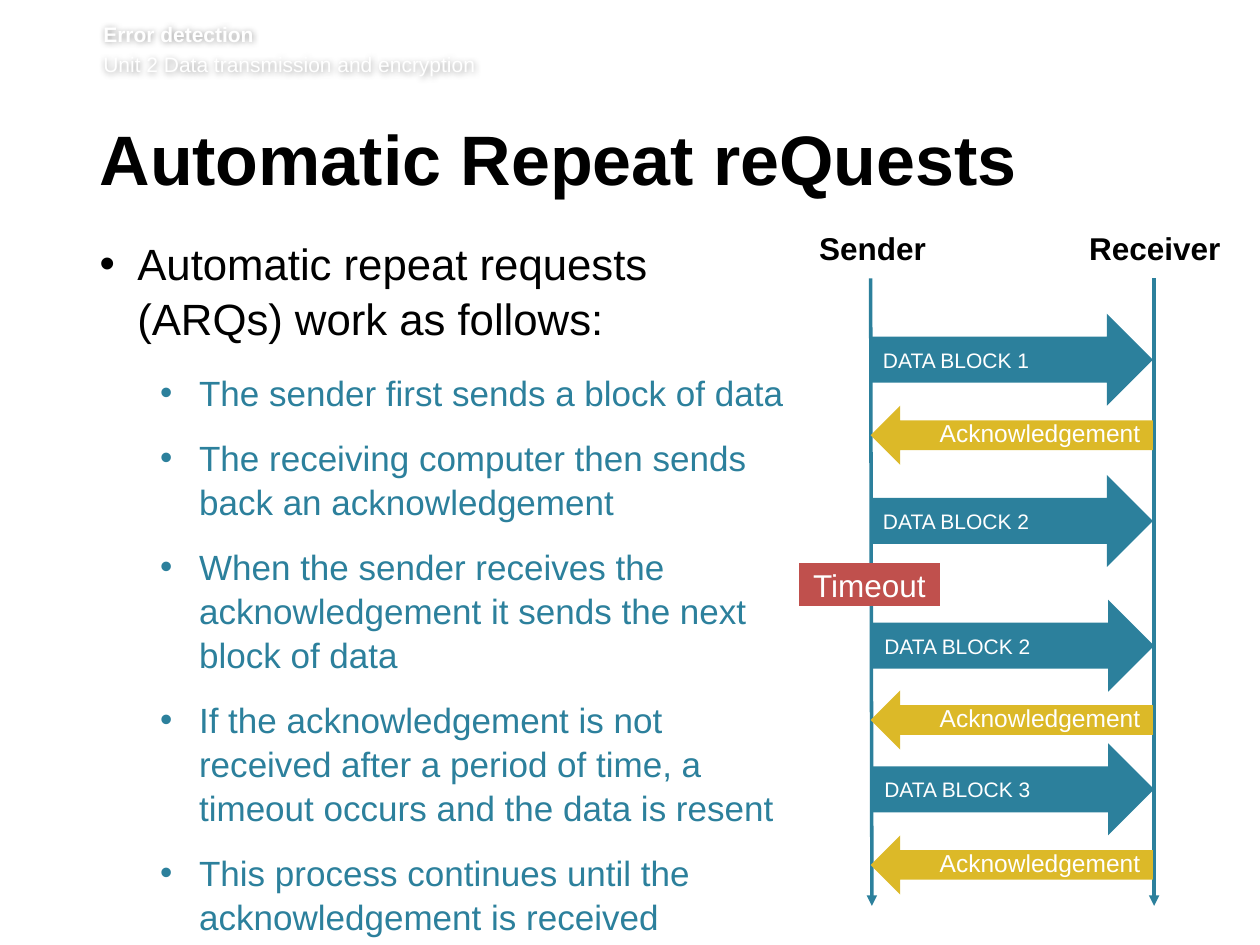
from lxml import etree
from pptx import Presentation, util as u
from pptx.dml.color import RGBColor
from pptx.enum import shapes, text
from pptx.oxml.ns import qn

Inches, Pt = u.Inches, u.Pt
THEME = {
    "font": "Arial",
    "black": RGBColor(0, 0, 0), "white": RGBColor(255, 255, 255),
    "teal": RGBColor(0x2C, 0x80, 0x9C), "gold": RGBColor(0xDC, 0xB9, 0x28),
    "red": RGBColor(0xC0, 0x50, 0x4D),
    "header": Pt(12), "title": Pt(40), "lead": Pt(25), "step": Pt(20),
    "label": Pt(18), "block": Pt(12), "reply": Pt(14),
}


def write(para, words, size, color, bold=False, **layout):
    span = para.add_run()
    span.text = words
    for name, value in {"name": THEME["font"], "size": THEME[size], "bold": bold}.items():
        setattr(span.font, name, value)
    span.font.color.rgb = THEME[color]
    for name, value in layout.items():
        setattr(para, name, value)


def set_frame(box, insets, anchor=text.MSO_ANCHOR.TOP):
    frame = box.text_frame
    sides = ("margin_left", "margin_top", "margin_right", "margin_bottom")
    values = dict(zip(sides, map(Inches, insets)))
    values.update(word_wrap=True, auto_size=text.MSO_AUTO_SIZE.NONE, vertical_anchor=anchor)
    for name, value in values.items():
        setattr(frame, name, value)
    return frame


deck = Presentation()
deck.slide_width, deck.slide_height = Inches(10), Inches(7.5)
page = deck.slides.add_slide(deck.slide_layouts[5])

header = page.shapes.add_textbox(Inches(0.82), Inches(0.17), Inches(8.82), Inches(0.49))
frame = set_frame(header, (0, 0, 0, 0.05))
write(frame.paragraphs[0], "Error detection", "header", "white", True)
write(frame.add_paragraph(), "Unit 2 Data transmission and encryption", "header", "white",
      space_before=Pt(2.9))
effects = etree.SubElement(header._element.spPr, qn("a:effectLst"))
shadow = etree.SubElement(effects, qn("a:outerShdw"), blurRad="50800", dist="0", algn="ctr")
shade = etree.SubElement(shadow, qn("a:srgbClr"), val="000000")
etree.SubElement(shade, qn("a:alpha"), val="40000")

title = page.shapes.title
for name, value in {"left": 0.79, "top": 0.99, "width": 8.55, "height": 0.73}.items():
    setattr(title, name, Inches(value))
frame = set_frame(title, (0, 0.05, 0.1, 0.05))
write(frame.paragraphs[0], "Automatic Repeat reQuests", "title", "black", True,
      alignment=text.PP_ALIGN.LEFT, line_spacing=Pt(39), space_after=Pt(15))

body = page.shapes.add_textbox(Inches(0.79), Inches(1.86), Inches(5.54), Inches(5.4))
frame = set_frame(body, (0, 0, 0.1, 0.05))
points = [
    "Automatic repeat requests (ARQs) work as follows:",
    "The sender first sends a block of data",
    "The receiving computer then sends back an acknowledgement",
    "When the sender receives the acknowledgement it sends the next block of data",
    "If the acknowledgement is not received after a period of time, a timeout occurs "
    "and the data is resent",
    "This process continues until the acknowledgement is received",
]
for index, words in enumerate(points):
    para = frame.add_paragraph() if index else frame.paragraphs[0]
    level = min(index, 1)
    margin, indent = ((0.3, -0.3), (0.79, -0.31))[level]
    settings = para._p.get_or_add_pPr()
    settings.set("marL", str(Inches(margin)))
    settings.set("indent", str(Inches(indent)))
    etree.SubElement(settings, qn("a:buFont"), typeface=THEME["font"])
    etree.SubElement(settings, qn("a:buChar"), char="•")
    write(para, words, ("lead", "step")[level], ("black", "teal")[level],
          level=level, line_spacing=1.05, space_after=Pt((14, 12)[level]))

for name, center, start in (("Sender", 6.92, 6.91), ("Receiver", 9.16, 9.16)):
    lifeline = page.shapes.add_connector(
        shapes.MSO_CONNECTOR.STRAIGHT, Inches(start), Inches(2.21), Inches(center), Inches(7.19))
    lifeline.line.color.rgb = THEME["teal"]
    lifeline.line.width = Pt(2)
    etree.SubElement(lifeline.line._get_or_add_ln(), qn("a:tailEnd"), type="triangle")
    etree.SubElement(lifeline._element.spPr, qn("a:effectLst"))
    box = page.shapes.add_textbox(Inches(center - 0.71), Inches(1.82), Inches(1.43), Inches(0.3))
    write(set_frame(box, (0, 0, 0, 0)).paragraphs[0], name, "label", "black", True,
          alignment=text.PP_ALIGN.CENTER)

KINDS = {
    "block": (shapes.MSO_SHAPE.RIGHT_ARROW, 2.24, 0.73, "teal", "block",
              text.PP_ALIGN.LEFT, (0.1, 0.05, 0.1, 0.05)),
    "reply": (shapes.MSO_SHAPE.LEFT_ARROW, 2.24, 0.47, "gold", "reply",
              text.PP_ALIGN.RIGHT, (0.1, 0, 0.1, 0.04)),
    "timeout": (shapes.MSO_SHAPE.FLOWCHART_PROCESS, 1.12, 0.34, "red", "label",
                text.PP_ALIGN.CENTER, (0.1, 0.05, 0.1, 0.05)),
}
messages = [
    ("block", "DATA BLOCK 1", 6.91, 2.49),
    ("block", "DATA BLOCK 2", 6.91, 3.77),
    ("reply", "Acknowledgement", 6.91, 3.22),
    ("reply", "Acknowledgement", 6.91, 5.48),
    ("block", "DATA BLOCK 2", 6.92, 4.76),
    ("block", "DATA BLOCK 3", 6.92, 5.9),
    ("reply", "Acknowledgement", 6.91, 6.63),
    ("timeout", "Timeout", 6.34, 4.47),
]
for kind, words, left, top in messages:
    outline, width, height, fill, size, alignment, insets = KINDS[kind]
    box = page.shapes.add_shape(outline, Inches(left), Inches(top), Inches(width), Inches(height))
    box.shadow.inherit = False
    box.fill.solid()
    box.fill.fore_color.rgb = THEME[fill]
    box.line.fill.background()
    frame = set_frame(box, insets, text.MSO_ANCHOR.MIDDLE)
    write(frame.paragraphs[0], words, size, "white", alignment=alignment)

deck.save("out.pptx")
